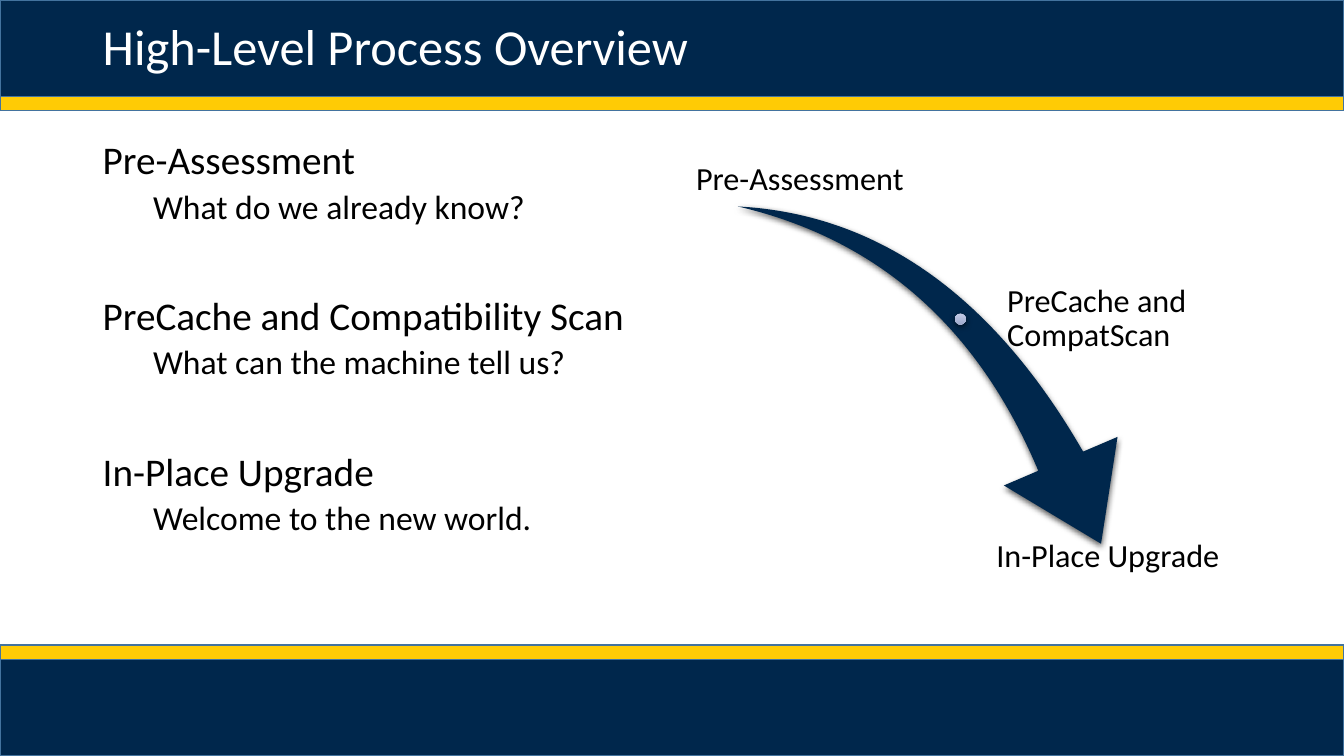
from lxml import etree
from pptx import Presentation
from pptx.dml.color import RGBColor
from pptx.enum.shapes import MSO_SHAPE as SHAPE
from pptx.enum.text import MSO_ANCHOR as ANCHOR, PP_ALIGN as ALIGN
from pptx.oxml.ns import nsdecls
from pptx.util import Inches, Pt

NAVY = RGBColor(0x00, 0x27, 0x4C)
GOLD = RGBColor(0xFF, 0xCB, 0x05)
EDGE = RGBColor(0x43, 0x73, 0x9E)
DOT_TOP = RGBColor(0xC3, 0xCB, 0xE6)
DOT_BOTTOM = RGBColor(0x9F, 0xAA, 0xCD)
BLACK = RGBColor(0, 0, 0)
WHITE = RGBColor(255, 255, 255)

WIDTH, HEIGHT = 13.33, 7.5
BAND_H, NAVY_H = 1.1, 0.96
SHADOW = (
    f'<a:effectLst {nsdecls("a")}>'
    '<a:outerShdw blurRad="57150" dist="19050" dir="5400000" algn="ctr" rotWithShape="0">'
    '<a:srgbClr val="000000"><a:alpha val="63000"/></a:srgbClr>'
    '</a:outerShdw></a:effectLst>'
)

STEPS = [
    ("Pre-Assessment", "What do we already know?"),
    ("PreCache and Compatibility Scan", "What can the machine tell us?"),
    ("In-Place Upgrade", "Welcome to the new world."),
]


def add_text_box(s, left, top, width, height, anchor=ANCHOR.TOP, inset=None):
    sp = s.shapes.add_textbox(Inches(left), Inches(top), Inches(width), Inches(height))
    tf = sp.text_frame
    tf.word_wrap = True
    tf.vertical_anchor = anchor
    if inset is not None:
        tf.margin_left = tf.margin_right = Inches(inset)
        tf.margin_top = tf.margin_bottom = Inches(inset)
    return tf


def write(p, text, size, color=BLACK, align=ALIGN.LEFT, before=0, indent=0):
    p.alignment = align
    p.line_spacing = 0.9
    p.space_before = Pt(before)
    if indent:
        p.level = 1
        pPr = p._p.get_or_add_pPr()
        pPr.set("marL", str(Inches(indent)))
        pPr.set("indent", "0")
    r = p.add_run()
    r.text = text
    r.font.name = "Calibri"
    r.font.size = Pt(size)
    r.font.color.rgb = color


def add_band(s, top, navy_top):
    """Gold band mostly covered by a navy one, leaving a gold stripe."""
    for y, height, color in ((top, BAND_H, GOLD), (navy_top, NAVY_H, NAVY)):
        sp = s.shapes.add_shape(SHAPE.RECTANGLE, 0, Inches(y), Inches(WIDTH), Inches(height))
        sp.shadow.inherit = False
        sp.fill.solid()
        sp.fill.fore_color.rgb = color
        sp.line.color.rgb = EDGE
        sp.line.width = Pt(1)


def add_header(s, title):
    add_band(s, 0, 0)
    tf = add_text_box(s, 0.92, 0.1, 11.5, 0.77, ANCHOR.MIDDLE)
    write(tf.paragraphs[0], title, 36, WHITE)


def add_footer(s):
    add_band(s, HEIGHT - BAND_H, HEIGHT - NAVY_H)


def add_steps(s, left, top, width, height):
    tf = add_text_box(s, left, top, width, height)
    for i, (step, question) in enumerate(STEPS):
        p = tf.add_paragraph() if i else tf.paragraphs[0]
        write(p, step, 28, before=50 if i else 10)
        write(tf.add_paragraph(), question, 24, before=5, indent=0.5)


def add_shadowed(s, kind, left, top, width, height):
    sp = s.shapes.add_shape(kind, Inches(left), Inches(top), Inches(width), Inches(height))
    sp.line.fill.background()
    sp._element.spPr.append(etree.fromstring(SHADOW))
    return sp


def add_arrow_diagram(s, left, top):
    # Curved arrow
    arrow = add_shadowed(s, SHAPE.SWOOSH_ARROW, left + 1.25, top + 0.98, 4.24, 2.95)
    arrow.rotation = 73.3
    arrow.adjustments[0] = 0.163
    arrow.adjustments[1] = 0.314
    arrow.fill.solid()
    arrow.fill.fore_color.rgb = NAVY

    # Midway dot
    dot = add_shadowed(s, SHAPE.OVAL, left + 3.5, top + 1.91, 0.11, 0.11)
    dot.fill.gradient()
    dot.fill.gradient_angle = 270
    for stop, color in zip(dot.fill.gradient_stops, (DOT_TOP, DOT_BOTTOM)):
        stop.color.rgb = color

    # Stage labels
    labels = [
        ("Pre-Assessment", 0, 0, 3.93, ANCHOR.BOTTOM, ALIGN.CENTER),
        ("PreCache and CompatScan", 3.99, 1.57, 2.37, ANCHOR.MIDDLE, ALIGN.LEFT),
        ("In-Place Upgrade", 3.67, 4.12, 2.7, ANCHOR.TOP, ALIGN.CENTER),
    ]
    for text, dx, dy, width, anchor, align in labels:
        tf = add_text_box(s, left + dx, top + dy, width, 0.79, anchor, inset=0.03)
        write(tf.paragraphs[0], text, 23, align=align)


def main():
    prs = Presentation()
    prs.slide_width, prs.slide_height = Inches(WIDTH), Inches(HEIGHT)
    s = prs.slides.add_slide(prs.slide_layouts[6])
    add_steps(s, 0.92, 1.35, 5.69, 4.76)
    add_arrow_diagram(s, 5.97, 1.2)
    add_header(s, "High-Level Process Overview")
    add_footer(s)
    prs.save("out.pptx")


if __name__ == "__main__":
    main()
